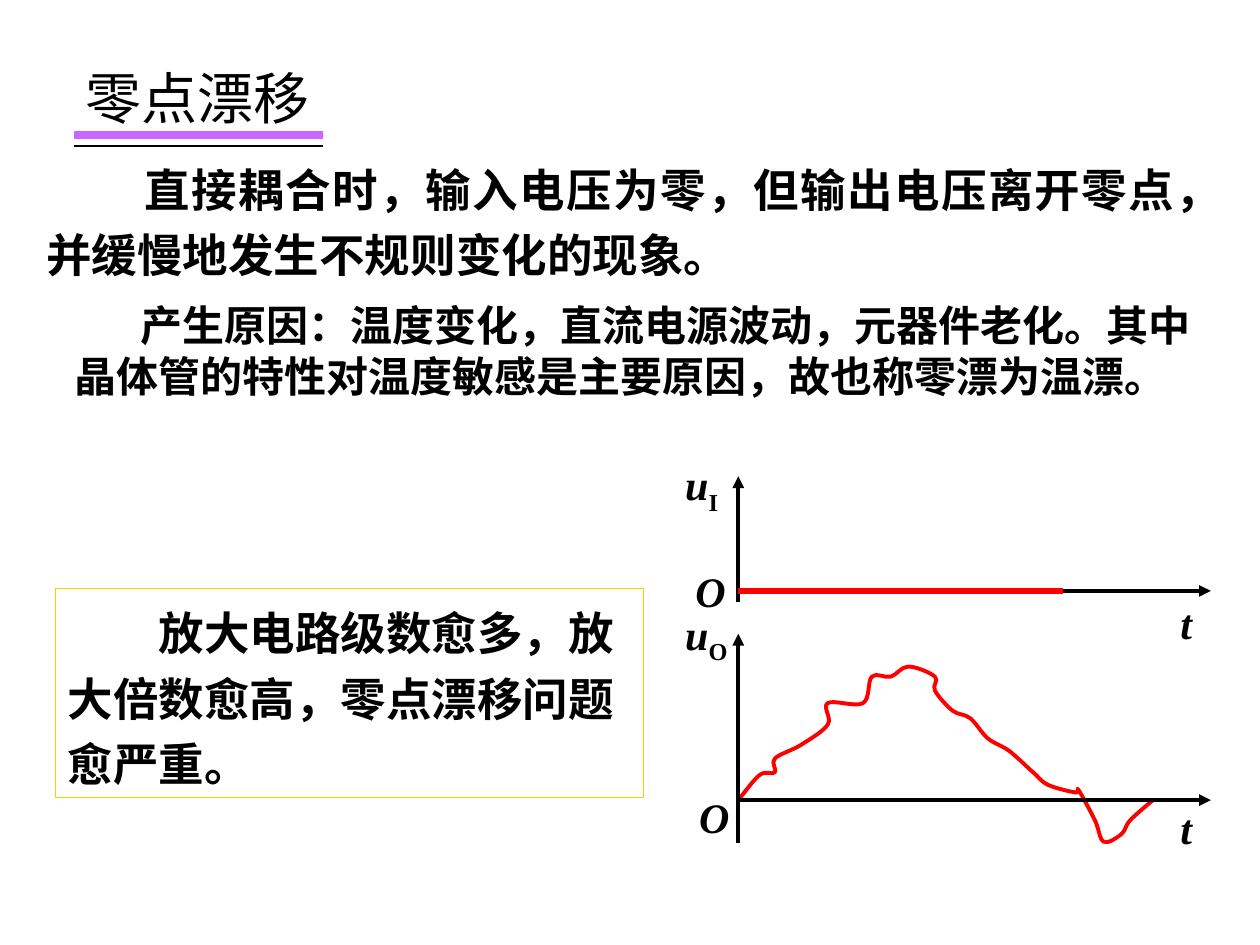
from dataclasses import dataclass

import pptx
import pptx.dml.color
import pptx.enum.shapes
import pptx.enum.text
import pptx.oxml.ns
import pptx.oxml.xmlchemy
import pptx.shapes.autoshape
import pptx.slide
import pptx.text.text
import pptx.util

Inches = pptx.util.Inches
Align = pptx.enum.text.PP_ALIGN
Anchor = pptx.enum.text.MSO_ANCHOR
AutoSize = pptx.enum.text.MSO_AUTO_SIZE
qn = pptx.oxml.ns.qn
new_element = pptx.oxml.xmlchemy.OxmlElement
Point = tuple[float, float]
Box = tuple[float, float, float, float]


@dataclass(frozen=True)
class Theme:
    font: str = "Times New Roman"
    ink: str = "000000"
    underline: str = "CC66FF"
    signal: str = "FF0000"
    frame: str = "FFCC00"
    title_size: float = 32
    statement_size: float = 26
    detail_size: float = 24


@dataclass(frozen=True)
class Plot:
    subscript: str
    axis_y: float
    top: float
    bottom: float
    symbol_top: float
    time_top: float
    origin_label: Point


THEME = Theme()
AXIS_X = 5.86
AXIS_END = 9.61
PLOTS = (
    Plot("O", 6.35, 5.03, 6.69, 4.78, 6.32, (5.45, 6.23)),
    Plot("I", 4.69, 3.78, 4.78, 3.59, 4.69, (5.42, 4.44)),
)
DRIFT: tuple[Point, ...] = (
    (AXIS_X, 6.35), (6.03, 6.15), (6.15, 6.13), (6.15, 6.02), (6.36, 5.91),
    (6.57, 5.75), (6.57, 5.58), (6.85, 5.58), (6.92, 5.37), (7.07, 5.37),
    (7.21, 5.29), (7.42, 5.37), (7.42, 5.48), (7.56, 5.64), (7.7, 5.7),
    (7.84, 5.86), (8.01, 5.96), (8.2, 6.13), (8.32, 6.23), (8.54, 6.29),
    (8.56, 6.27), (8.69, 6.51), (8.76, 6.68), (8.9, 6.62), (8.97, 6.51),
    (9.15, 6.35),
)


def color(value: str) -> pptx.dml.color.RGBColor:
    return pptx.dml.color.RGBColor.from_string(value)


def write_text(
    frame: pptx.text.text.TextFrame,
    text: str,
    *,
    size: float,
    bold: bool = True,
    italic: bool = False,
    subscript: str = "",
    indent: float = 0,
    spacing: float = 1.0,
    align: Align = Align.LEFT,
    anchor: Anchor = Anchor.TOP,
    auto_size: AutoSize = AutoSize.SHAPE_TO_FIT_TEXT,
) -> None:
    frame.word_wrap = True
    frame.auto_size = auto_size
    frame.vertical_anchor = anchor
    paragraph = frame.paragraphs[0]
    paragraph.alignment = align
    paragraph.line_spacing = spacing
    if indent:
        paragraph._p.get_or_add_pPr().set("indent", str(Inches(indent)))
    for content, lowered in ((text, False), (subscript, True)):
        if not content:
            continue
        run = paragraph.add_run()
        run.text = content
        run.font.name = THEME.font
        run.font.size = pptx.util.Pt(size)
        run.font.bold = bold
        run.font.italic = italic and not lowered
        run.font.color.rgb = color(THEME.ink)
        if lowered:
            run._r.get_or_add_rPr().set("baseline", "-25000")


def add_text(slide: pptx.slide.Slide, box: Box, text: str, **style) -> None:
    shape = slide.shapes.add_textbox(*map(Inches, box))
    write_text(shape.text_frame, text, **style)


def add_line(
    slide: pptx.slide.Slide,
    start: Point,
    end: Point,
    line_color: str,
    width: float,
    arrow: bool = False,
) -> None:
    connector = slide.shapes.add_connector(
        pptx.enum.shapes.MSO_CONNECTOR.STRAIGHT, *map(Inches, (*start, *end))
    )
    connector.line.color.rgb = color(line_color)
    connector.line.width = pptx.util.Pt(width)
    properties = connector._element.spPr
    if arrow:
        tail = new_element("a:tailEnd")
        tail.set("type", "triangle")
        properties.find(qn("a:ln")).append(tail)
    properties.append(new_element("a:effectLst"))


def smooth_segments(shape: pptx.shapes.autoshape.Shape) -> None:
    nodes = list(shape._element.spPr.iter(qn("a:pt")))
    points = [(int(node.get("x")), int(node.get("y"))) for node in nodes]
    padded = [points[0], *points, points[-1]]
    segments = list(shape._element.spPr.iter(qn("a:lnTo")))
    for segment, before, start, end, after in zip(
        segments, padded, padded[1:], padded[2:], padded[3:]
    ):
        first = [s + (e - b) / 6 for b, s, e in zip(before, start, end)]
        second = [e - (a - s) / 6 for s, e, a in zip(start, end, after)]
        curve = new_element("a:cubicBezTo")
        for x, y in (first, second, end):
            node = new_element("a:pt")
            node.set("x", str(round(x)))
            node.set("y", str(round(y)))
            curve.append(node)
        segment.getparent().replace(segment, curve)


def add_curve(slide: pptx.slide.Slide, points: tuple[Point, ...]) -> None:
    vertices = [(Inches(x), Inches(y)) for x, y in points]
    builder = slide.shapes.build_freeform(*vertices[0])
    builder.add_line_segments(vertices[1:], close=False)
    shape = builder.convert_to_shape()
    smooth_segments(shape)
    shape.shadow.inherit = False
    shape.fill.background()
    shape.line.color.rgb = color(THEME.signal)
    shape.line.width = pptx.util.Pt(2.25)


def add_plot(slide: pptx.slide.Slide, plot: Plot) -> None:
    horizontal = (AXIS_X, plot.axis_y), (AXIS_END, plot.axis_y)
    vertical = (AXIS_X, plot.bottom), (AXIS_X, plot.top)
    for start, end in (horizontal, vertical):
        add_line(slide, start, end, THEME.ink, 2.25, arrow=True)
    style = {"size": THEME.detail_size, "italic": True}
    add_text(slide, (5.34, plot.symbol_top, 0.67, 0.56), "u",
             subscript=plot.subscript, **style)
    add_text(slide, (9.27, plot.time_top, 0.67, 0.5), "t", **style)
    add_text(slide, (*plot.origin_label, 0.67, 0.5), "O", **style)


def add_title(slide: pptx.slide.Slide, text: str) -> None:
    title = slide.shapes.title
    title.left, title.top, title.width, title.height = map(
        Inches, (0.58, 0.5, 2.37, 0.64)
    )
    write_text(title.text_frame, text, size=THEME.title_size, bold=False,
               spacing=0.8, anchor=Anchor.MIDDLE, auto_size=AutoSize.NONE)
    add_line(slide, (0.59, 1.07), (2.56, 1.07), THEME.underline, 4.5)
    add_line(slide, (0.59, 1.16), (2.56, 1.16), THEME.ink, 0.75)


def add_framed_text(slide: pptx.slide.Slide, box: Box, text: str) -> None:
    shape = slide.shapes.add_shape(
        pptx.enum.shapes.MSO_SHAPE.RECTANGLE, *map(Inches, box)
    )
    shape.shadow.inherit = False
    shape.fill.background()
    shape.line.color.rgb = color(THEME.frame)
    shape.line.width = pptx.util.Pt(0.75)
    write_text(shape.text_frame, text, size=THEME.statement_size,
               indent=0.72, spacing=1.2)


def main() -> None:
    presentation = pptx.Presentation()
    presentation.slide_width = Inches(10)
    presentation.slide_height = Inches(7.5)
    slide = presentation.slides.add_slide(presentation.slide_layouts[5])
    add_title(slide, "零点漂移")
    add_text(slide, (0.27, 1.15, 9.17, 1.14),
             "直接耦合时，输入电压为零，但输出电压离开零点，并缓慢地发生不规则变化的现象。",
             size=THEME.statement_size, indent=0.78, spacing=1.2,
             align=Align.JUSTIFY)
    add_curve(slide, DRIFT)
    for plot in PLOTS:
        add_plot(slide, plot)
    add_framed_text(slide, (0.44, 4.67, 4.67, 1.66),
                    "放大电路级数愈多，放大倍数愈高，零点漂移问题愈严重。")
    add_line(slide, (AXIS_X, 4.69), (8.44, 4.69), THEME.signal, 3)
    add_text(slide, (0.49, 2.33, 9.08, 0.9),
             "产生原因：温度变化，直流电源波动，元器件老化。其中晶体管的特性对温度敏感是主要原因，故也称零漂为温漂。",
             size=THEME.detail_size, indent=0.53)
    presentation.save("out.pptx")


if __name__ == "__main__":
    main()
